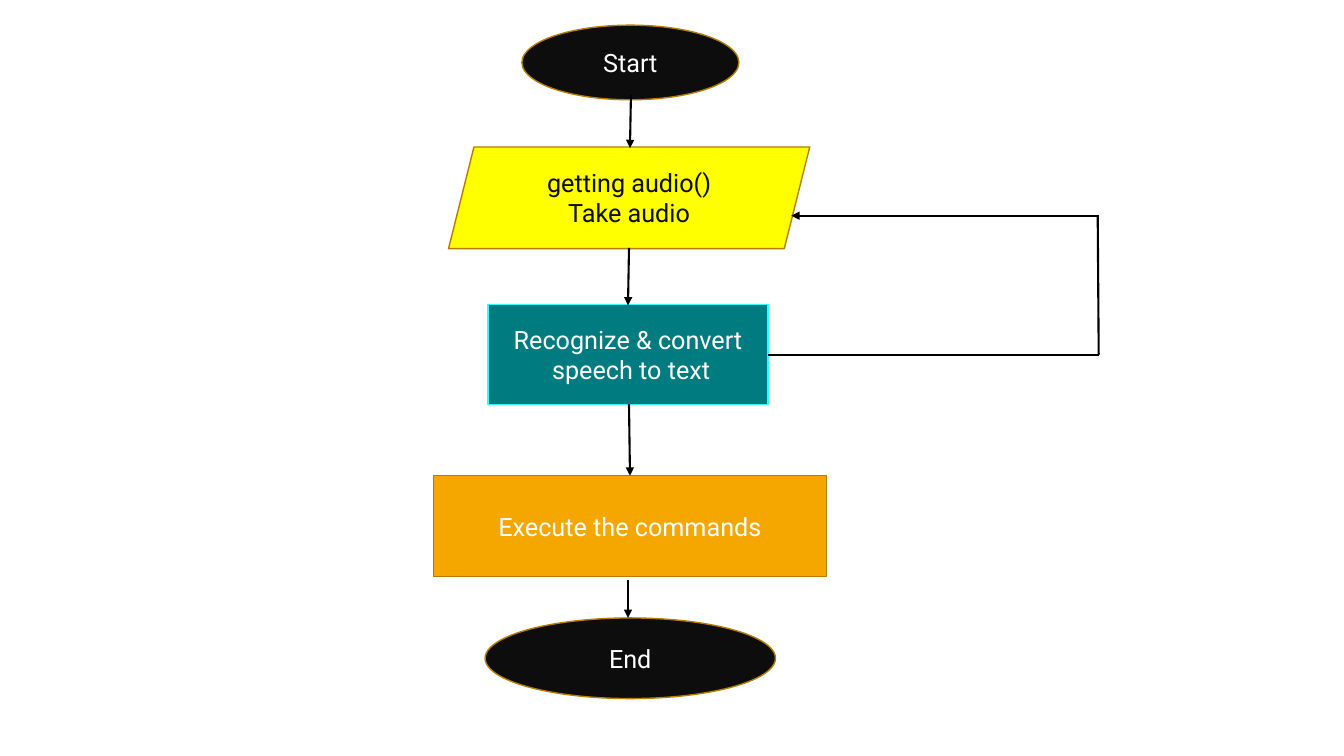
from lxml import etree
from pptx import Presentation
from pptx import util as u
from pptx.dml.color import RGBColor
from pptx.enum import shapes, text
from pptx.oxml.ns import qn

COLORS = {
    "black": "000000", "ink": "0D0D0D", "white": "FFFFFF", "yellow": "FFFF00",
    "teal": "007C80", "cyan": "34F8FF", "orange": "F5A700", "brown": "B57C00",
}
SHAPE = shapes.MSO_SHAPE


def color(name):
    return RGBColor.from_string(COLORS[name])


class Flowchart:
    font = "Roboto"
    size = 18
    border = 1
    stroke = 1.5

    def __init__(self, page):
        self.page = page

    def step(self, kind, bounds, lines, fill, ink="white", edge="brown"):
        box = self.page.shapes.add_shape(kind, *map(u.Pt, bounds))
        box.shadow.inherit = False
        box.fill.solid()
        box.fill.fore_color.rgb = color(fill)
        box.line.color.rgb = color(edge)
        box.line.width = u.Pt(self.border)
        frame = box.text_frame
        frame.word_wrap = True
        frame.vertical_anchor = text.MSO_ANCHOR.MIDDLE
        for index, line in enumerate(lines):
            para = frame.add_paragraph() if index else frame.paragraphs[0]
            para.alignment = text.PP_ALIGN.CENTER
            span = para.add_run()
            span.text = line
            span.font.name = self.font
            span.font.size = u.Pt(self.size)
            span.font.color.rgb = color(ink)

    def line(self, start, end, arrow=True):
        link = self.page.shapes.add_connector(
            shapes.MSO_CONNECTOR.STRAIGHT, *map(u.Pt, start + end))
        link.line.color.rgb = color("black")
        link.line.width = u.Pt(self.stroke)
        if arrow:
            etree.SubElement(link.line._get_or_add_ln(), qn("a:tailEnd"), type="triangle")
        etree.SubElement(link._element.spPr, qn("a:effectLst"))


def main():
    deck = Presentation()
    deck.slide_width, deck.slide_height = u.Pt(960), u.Pt(540)
    chart = Flowchart(deck.slides.add_slide(deck.slide_layouts[6]))

    # Steps from start to end
    chart.step(SHAPE.OVAL, (372.8, 18, 155, 53.3), ["Start"], "ink")
    chart.step(SHAPE.PARALLELOGRAM, (320.4, 105, 258, 72.6),
               ["getting audio()", "Take audio"], "yellow", ink="ink")
    chart.step(SHAPE.RECTANGLE, (348.6, 217.6, 200, 71.3),
               ["Recognize & convert", " speech to text"], "teal", edge="cyan")
    chart.step(SHAPE.RECTANGLE, (309.6, 339.8, 280.8, 72),
               ["Execute the commands"], "orange")
    chart.step(SHAPE.OVAL, (346.5, 441.4, 207.4, 57.6), ["End"], "ink")

    # Arrows between the steps
    chart.line((450.7, 67.7), (450, 105.8))
    chart.line((449.3, 177.1), (448.6, 218.2))
    chart.line((449.3, 288.7), (450, 339.8))
    chart.line((448.6, 414), (448.6, 441.4))

    # Loop back to the audio step
    chart.line((548.6, 253.4), (784.8, 253.4), arrow=False)
    chart.line((784.1, 154.1), (784.8, 253.4), arrow=False)
    chart.line((784.8, 154.1), (565.2, 154.1))

    deck.save("out.pptx")


if __name__ == "__main__":
    main()
